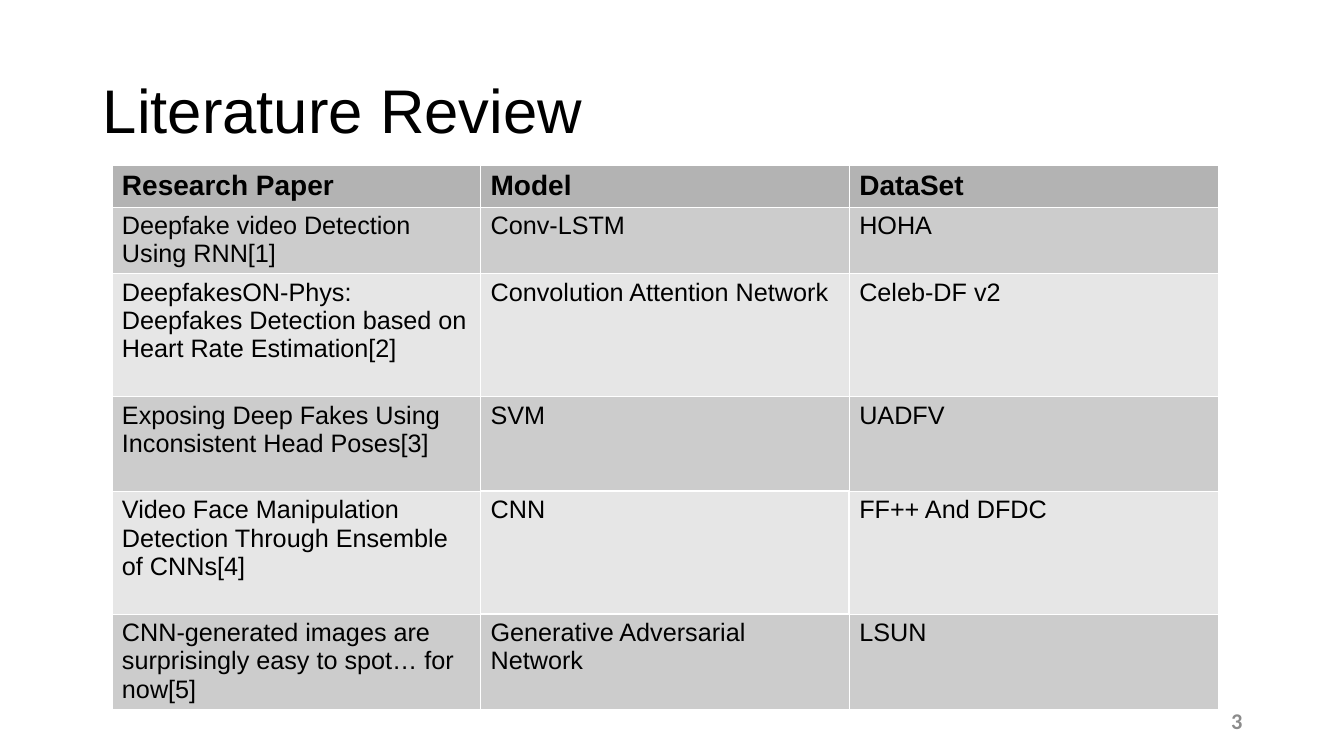
import pptx
import pptx.util
import pptx.dml.color
import pptx.enum.text
import pptx.oxml
import pptx.oxml.ns

# Content
TITLE = "Literature Review"
PAGE = "3"
HEAD = ("Research Paper", "Model", "DataSet")
PAPERS = [
    ("Deepfake video Detection Using RNN[1]", "Conv-LSTM", "HOHA"),
    ("DeepfakesON-Phys:\nDeepfakes Detection based on Heart Rate Estimation[2]",
     "Convolution Attention Network", "Celeb-DF v2"),
    ("Exposing Deep Fakes Using Inconsistent Head Poses[3]", "SVM", "UADFV"),
    ("Video Face Manipulation Detection Through Ensemble of CNNs[4]",
     "CNN", "FF++ And DFDC"),
    ("CNN-generated images are surprisingly easy to spot… for now[5]",
     "Generative Adversarial Network\u00a0", "LSUN"),
]
HEIGHTS = (0.38, 0.66, 1.22, 0.94, 1.22, 0.94)
FOCUS = (4, 1)  # the cell framed by a heavier line

# Theme
THEME = {
    "title": dict(name="Arial", size=44, color="000000", bold=False),
    "head": dict(name="Arial", size=20, color="000000", bold=True),
    "body": dict(name="Arial", size=18, color="000000", bold=False),
    "page": dict(name="Calibri", size=16, color="8B8B8B", bold=True),
    "fills": ("B3B3B3", "CCCCCC", "E6E6E6"),
    "rule": "FFFFFF", "thin": 0.06, "thick": 1.13,
}
SIDES = {"L": (0, -1), "R": (0, 1), "T": (-1, 0), "B": (1, 0)}
Inches, Pt = pptx.util.Inches, pptx.util.Pt
RGB = pptx.dml.color.RGBColor.from_string
ALIGN = pptx.enum.text.PP_ALIGN
MIDDLE = pptx.enum.text.MSO_ANCHOR.MIDDLE


def write(frame, text, style, **para):
    frame.text = text
    look = THEME[style]
    for par in frame.paragraphs:
        for key, val in para.items():
            setattr(par, key, val)
        for run in par.runs:
            for key, val in look.items():
                if key == "color":
                    run.font.color.rgb = RGB(val)
                else:
                    setattr(run.font, key, Pt(val) if key == "size" else val)


def place(shape, *box):
    for key, val in zip(("left", "top", "width", "height"), box):
        setattr(shape, key, Inches(val))


def edge(cell, side, width):
    cell._tc.get_or_add_tcPr().append(pptx.oxml.parse_xml(
        f'<a:ln{side} {pptx.oxml.ns.nsdecls("a")} w="{int(Pt(width))}">'
        f'<a:solidFill><a:srgbClr val="{THEME["rule"]}"/></a:solidFill>'
        f'</a:ln{side}>'))


deck = pptx.Presentation()
deck.slide_width, deck.slide_height = Inches(13.33), Inches(7.5)
slide = deck.slides.add_slide(deck.slide_layouts[5])

# Title
title = slide.shapes.title
place(title, 0.92, 0.4, 11.5, 1.45)
write(title.text_frame, TITLE, "title", alignment=ALIGN.LEFT, line_spacing=0.9)
title.text_frame.vertical_anchor = MIDDLE

# Table of papers
rows = [HEAD] + PAPERS
grid = slide.shapes.add_table(
    len(rows), len(HEAD), Inches(1.11), Inches(1.64),
    Inches(10.97), Inches(sum(HEIGHTS))).table
for row, high in zip(grid.rows, HEIGHTS):
    row.height = Inches(high)
for r, texts in enumerate(rows):
    fill = THEME["fills"][2 - r % 2 if r else 0]
    for c, text in enumerate(texts):
        cell = grid.cell(r, c)
        write(cell.text_frame, text, "body" if r else "head")
        for side, (down, over) in SIDES.items():
            heavy = FOCUS in ((r, c), (r + down, c + over))
            edge(cell, side, THEME["thick" if heavy else "thin"])
        cell.fill.solid()
        cell.fill.fore_color.rgb = RGB(fill)

# Page number
page = slide.shapes.add_textbox(0, 0, 0, 0)
place(page, 9.42, 6.95, 3, 0.4)
page.text_frame.word_wrap = True
page.text_frame.vertical_anchor = MIDDLE
write(page.text_frame, PAGE, "page", alignment=ALIGN.RIGHT)

deck.save("out.pptx")
